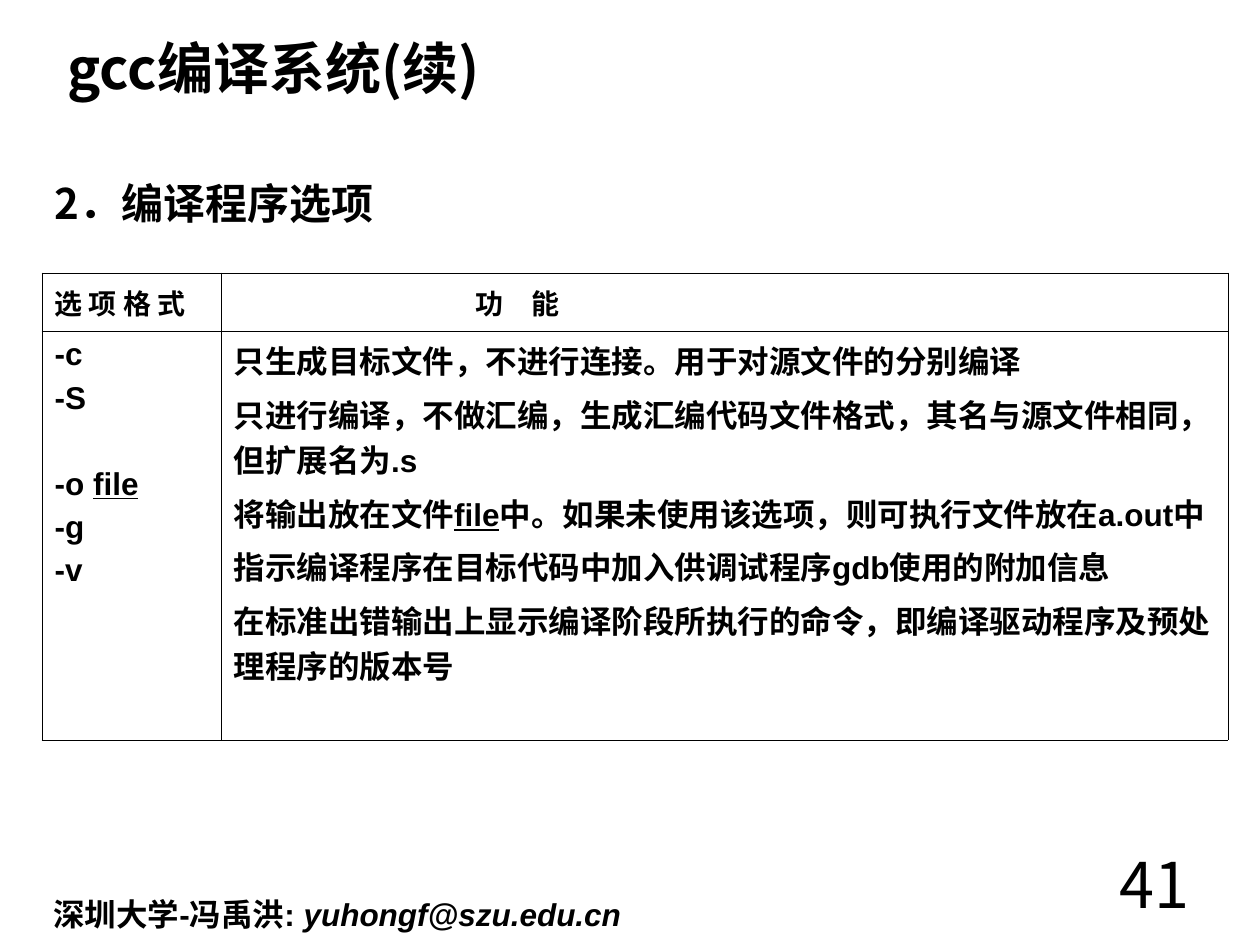
from lxml.etree import SubElement
from pptx import Presentation
from pptx.dml.color import RGBColor
from pptx.enum.text import MSO_ANCHOR, PP_ALIGN
from pptx.oxml.ns import qn
from pptx.util import Pt

# Content: a line is a list of (text, style) spans
TITLE = "gcc编译系统(续)"
SUBTITLE = "2．编译程序选项"
HEADINGS = ["选 项 格 式", "功　能"]
OPTIONS = [
    [("-c", "")],
    [("-S", "")],
    [("-o ", ""), ("file", "u")],
    [("-g", "")],
    [("-v", "")],
]
FUNCTIONS = [
    [("只生成目标文件，不进行连接。用于对源文件的分别编译", "")],
    [("只进行编译，不做汇编，生成汇编代码文件格式，其名与源文件相同，但扩展名为.s", "")],
    [("将输出放在文件", ""), ("file", "u"),
     ("中。如果未使用该选项，则可执行文件放在a.out中", "")],
    [("指示编译程序在目标代码中加入供调试程序gdb使用的附加信息", "")],
    [("在标准出错输出上显示编译阶段所执行的命令，即编译驱动程序及预处理程序的版本号", "")],
]
AUTHOR = [("深圳大学-冯禹洪: ", ""), ("yuhongf@szu.edu.cn", "i")]
PAGE_NUMBER = "41"

BLACK = RGBColor(0, 0, 0)
WHITE = RGBColor(255, 255, 255)
LATIN, CHINESE = "Arial", "Noto Sans CJK SC"
COLUMN_WIDTHS = [179, 1007]
ROW_HEIGHTS = [58, 409]


def px(value):
    return round(value * 914400 / 126)


def write(frame, lines, size, font=LATIN, bold=True, align=PP_ALIGN.LEFT, gap=0):
    """Fill a text frame with lines, spaced by gap points."""
    frame.word_wrap = True
    for index, line in enumerate(lines):
        para = frame.paragraphs[0] if index == 0 else frame.add_paragraph()
        para.alignment = align
        para.space_before = Pt(gap if index else 0)
        for text, style in line:
            span = para.add_run()
            span.text = text
            span.font.name = font
            span.font.size = Pt(size)
            span.font.bold = bold
            span.font.italic = style == "i"
            span.font.underline = style == "u"
            span.font.color.rgb = BLACK
            SubElement(span.font._element, qn("a:ea"), typeface=CHINESE)


def add_text(page, place, lines, size, **style):
    box = page.shapes.add_textbox(*map(px, place))
    write(box.text_frame, lines, size, **style)


def add_borders(cell):
    properties = cell._tc.get_or_add_tcPr()
    for index, side in enumerate(("lnL", "lnR", "lnT", "lnB")):
        line = properties.makeelement(qn(f"a:{side}"), {"w": str(Pt(0.45))})
        properties.insert(index, line)
        fill = SubElement(line, qn("a:solidFill"))
        SubElement(fill, qn("a:srgbClr"), val=str(BLACK))


def add_option_table(page):
    table = page.shapes.add_table(
        2, 2, px(42), px(273), px(sum(COLUMN_WIDTHS)), px(sum(ROW_HEIGHTS))).table
    for column, width in zip(table.columns, COLUMN_WIDTHS):
        column.width = px(width)
    for row, height in zip(table.rows, ROW_HEIGHTS):
        row.height = px(height)
    for cell in table.iter_cells():
        cell.fill.solid()
        cell.fill.fore_color.rgb = WHITE
        add_borders(cell)

    # Heading row, the second heading set in from the left
    for column, heading in enumerate(HEADINGS):
        cell = table.cell(0, column)
        cell.vertical_anchor = MSO_ANCHOR.MIDDLE
        write(cell.text_frame, [[(heading, "")]], 16)
    table.cell(0, 1).margin_left = px(255)

    # Options and their functions
    for column, lines in enumerate((OPTIONS, FUNCTIONS)):
        write(table.cell(1, column).text_frame, lines, 18, gap=4.5)
    # One line of room after -S, whose function takes two lines
    table.cell(1, 0).text_frame.paragraphs[2].space_before = Pt(29)


def main():
    deck = Presentation()
    deck.slide_width, deck.slide_height = px(1260), px(945)
    page = deck.slides.add_slide(deck.slide_layouts[5])

    # Title and subtitle
    title = page.shapes.title
    title.left, title.top, title.width, title.height = map(px, (55, 36, 1142, 63))
    title.text_frame.vertical_anchor = MSO_ANCHOR.MIDDLE
    write(title.text_frame, [[(TITLE, "")]], 32, font=CHINESE)
    add_text(page, (42, 171, 1177, 73), [[(SUBTITLE, "")]], 24, font=CHINESE)

    add_option_table(page)

    # Footer
    add_text(page, (41, 889, 640, 50), [AUTHOR], 18)
    add_text(page, (1017, 839, 185, 69), [[(PAGE_NUMBER, "")]], 36,
             font=CHINESE, bold=False, align=PP_ALIGN.RIGHT)

    deck.save("out.pptx")


if __name__ == "__main__":
    main()
